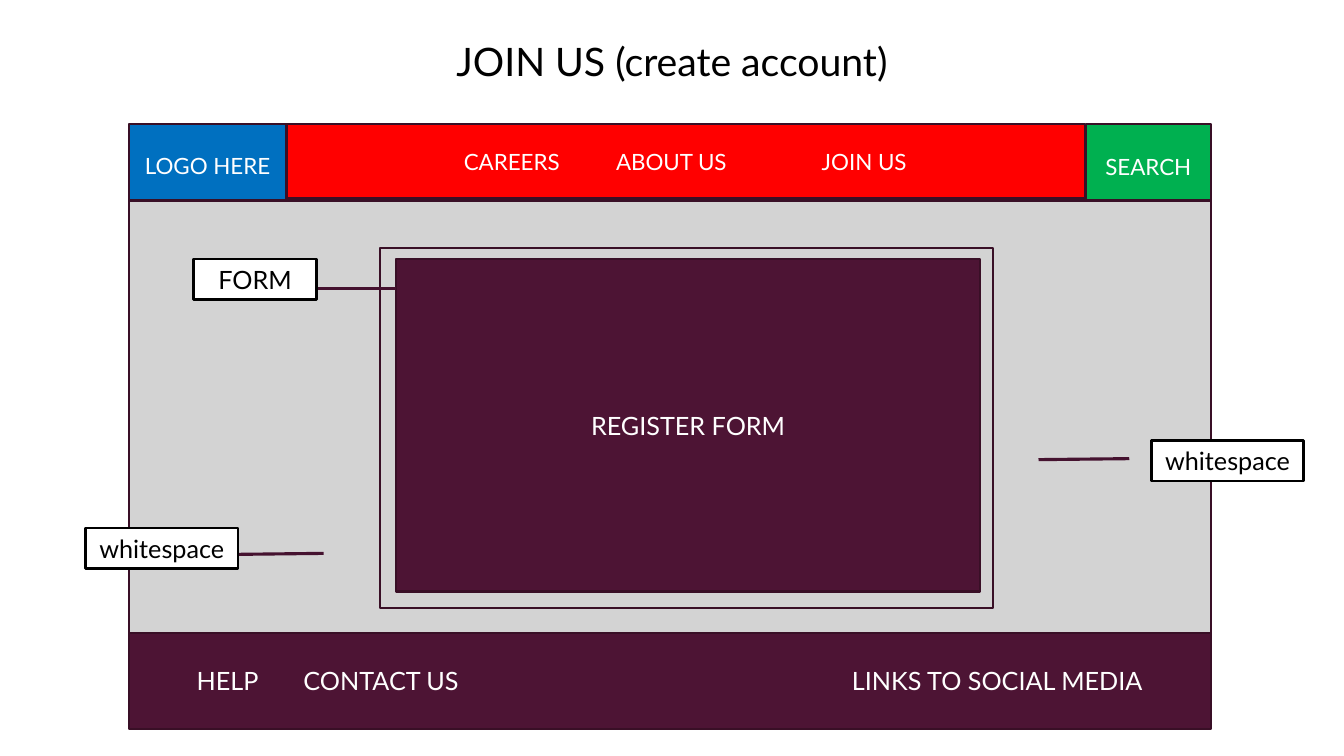
"""Build the wireframe slide of the account creation page."""
import dataclasses
import typing

import lxml.etree
import pptx
import pptx.dml.color
import pptx.enum.shapes
import pptx.enum.text
import pptx.oxml.ns
import pptx.util

Inches = pptx.util.Inches
FONT = "Lato"
WHITE, BLACK, PLUM, DARK_PLUM = "FFFFFF", "000000", "4D1434", "390F26"
PAGE_LEFT, PAGE_WIDTH = 1.28, 10.73
HEADER_TOP, FOOTER_TOP = 1.23, 6.28


@dataclasses.dataclass(frozen=True)
class Box:
    left: float
    top: float
    width: float
    height: float
    fill: typing.Optional[str] = None
    line: typing.Optional[str] = DARK_PLUM
    text: str = ""
    size: int = 18
    color: str = WHITE
    inset: float = 0.1
    tab_stops: tuple[float, ...] = ()
    grow: bool = False


@dataclasses.dataclass(frozen=True)
class Pointer:
    start: tuple[float, float]
    end: tuple[float, float]


def label(left: float, top: float, width: float, text: str) -> Box:
    return Box(left, top, width, 0.4, WHITE, BLACK, text, color=BLACK, grow=True)


ELEMENTS: tuple[typing.Union[Box, Pointer], ...] = (
    Box(PAGE_LEFT, HEADER_TOP, 1.56, 0.83, "0070C0", text="LOGO HERE", size=16),
    Box(10.77, HEADER_TOP, 1.24, 0.84, "00B050", text="SEARCH", size=16),
    Box(PAGE_LEFT, 1.99, PAGE_WIDTH, 4.29, "D3D3D3"),
    Box(3.77, 2.46, 6.08, 3.57),
    Box(3.93, 2.57, 5.79, 3.3, PLUM, text="REGISTER FORM"),
    Pointer((3.21, 5.49), (2.32, 5.5)),
    label(0.85, 5.24, 1.51, "whitespace"),
    Pointer((3.93, 2.86), (3.03, 2.86)),
    label(1.92, 2.57, 1.22, "FORM"),
    Box(2.84, HEADER_TOP, 7.92, 0.74, "FF0000", size=16, inset=1.76,
        text="CAREERS\tABOUT US\tJOIN US", tab_stops=(1.51, 3.55)),
    Box(0, 0.21, 13.33, 0.78, WHITE, None, "JOIN US (create account)", 28, BLACK),
    Box(PAGE_LEFT, FOOTER_TOP, PAGE_WIDTH, 0.95, PLUM, inset=0.67,
        text="HELP\tCONTACT US\tLINKS TO SOCIAL MEDIA", tab_stops=(1.06, 6.5)),
    Pointer((11.2, 4.55), (10.3, 4.56)),
    label(11.42, 4.37, 1.51, "whitespace"),
)


def rgb(value: str) -> pptx.dml.color.RGBColor:
    return pptx.dml.color.RGBColor.from_string(value)


def write_text(shape, text: str, *, size: int, color: str, inset: float,
               tab_stops: tuple[float, ...], grow: bool) -> None:
    frame = shape.text_frame
    frame.word_wrap = True
    frame.margin_left = Inches(inset)
    anchors = pptx.enum.text.MSO_ANCHOR
    frame.vertical_anchor = anchors.TOP if grow else anchors.MIDDLE
    if grow:
        frame.auto_size = pptx.enum.text.MSO_AUTO_SIZE.SHAPE_TO_FIT_TEXT
    paragraph = frame.paragraphs[0]
    alignments = pptx.enum.text.PP_ALIGN
    paragraph.alignment = alignments.LEFT if tab_stops else alignments.CENTER
    if tab_stops:
        properties = paragraph._p.get_or_add_pPr()
        tab_list = lxml.etree.SubElement(properties, pptx.oxml.ns.qn("a:tabLst"))
        for stop in tab_stops:
            lxml.etree.SubElement(tab_list, pptx.oxml.ns.qn("a:tab"),
                                  pos=str(Inches(stop)), algn="l")
    run = paragraph.add_run()
    run.text = text
    run.font.name = FONT
    run.font.size = pptx.util.Pt(size)
    run.font.color.rgb = rgb(color)


def draw_box(slide, box: Box) -> None:
    shape = slide.shapes.add_shape(
        pptx.enum.shapes.MSO_SHAPE.RECTANGLE, Inches(box.left), Inches(box.top),
        Inches(box.width), Inches(box.height))
    shape.shadow.inherit = False
    if box.fill:
        shape.fill.solid()
        shape.fill.fore_color.rgb = rgb(box.fill)
    else:
        shape.fill.background()
    if box.line:
        shape.line.color.rgb = rgb(box.line)
        shape.line.width = pptx.util.Pt(1.75)
    else:
        shape.line.fill.background()
    if box.text:
        write_text(shape, box.text, size=box.size, color=box.color, inset=box.inset,
                   tab_stops=box.tab_stops, grow=box.grow)


def draw_pointer(slide, pointer: Pointer) -> None:
    connector = slide.shapes.add_connector(
        pptx.enum.shapes.MSO_CONNECTOR.STRAIGHT,
        *(Inches(value) for value in pointer.start + pointer.end))
    connector.line.color.rgb = rgb("45122F")
    connector.line.width = pptx.util.Pt(2.25)
    lxml.etree.SubElement(connector._element.spPr, pptx.oxml.ns.qn("a:effectLst"))


def main() -> None:
    presentation = pptx.Presentation()
    presentation.slide_width = Inches(13.33)
    presentation.slide_height = Inches(7.5)
    slide = presentation.slides.add_slide(presentation.slide_layouts[6])
    for element in ELEMENTS:
        if isinstance(element, Box):
            draw_box(slide, element)
        else:
            draw_pointer(slide, element)
    presentation.save("out.pptx")


if __name__ == "__main__":
    main()
